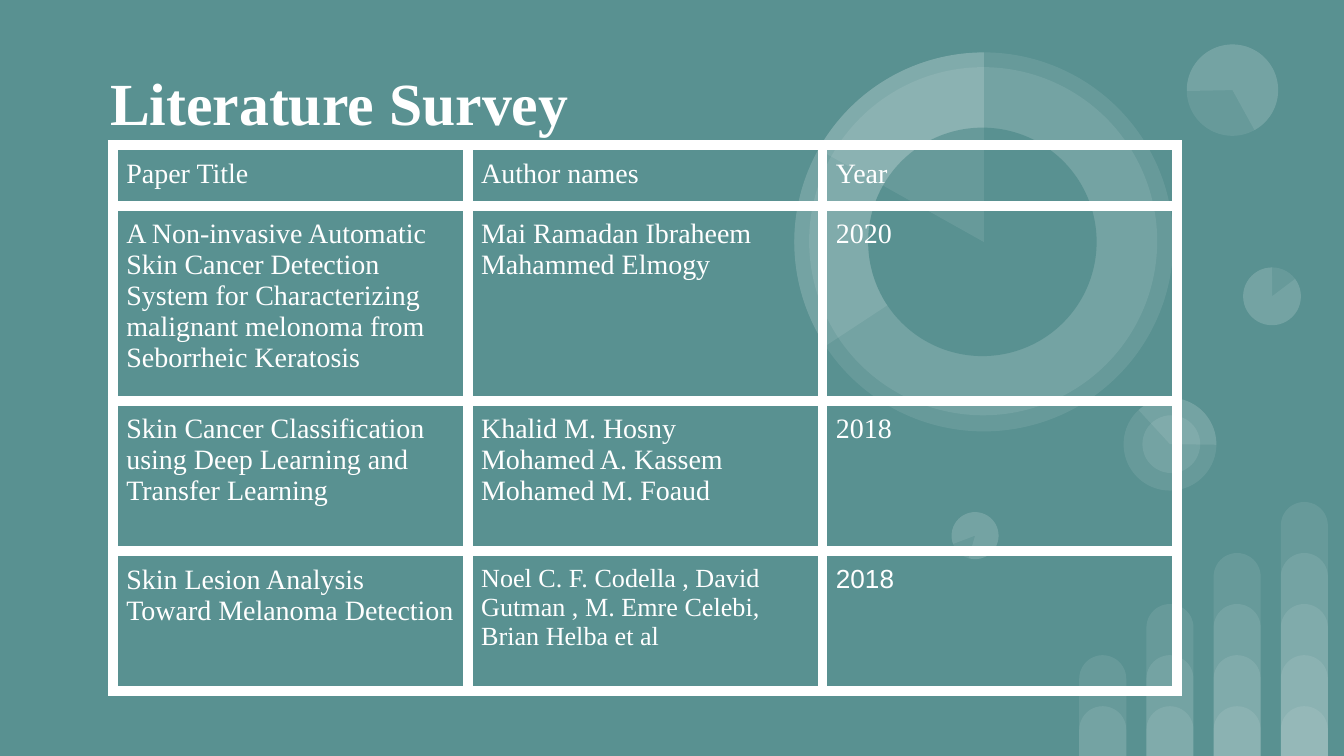
from lxml import etree
from pptx import Presentation
from pptx.dml.color import RGBColor
from pptx.enum.shapes import MSO_SHAPE
from pptx.enum.text import MSO_ANCHOR
from pptx.oxml.ns import qn
from pptx.util import Inches, Pt

ELLIPSE, PIE = MSO_SHAPE.OVAL, MSO_SHAPE.PIE
BAR = MSO_SHAPE.ROUND_2_SAME_RECTANGLE
MIDDLE = MSO_ANCHOR.MIDDLE

COLORS = {"teal": "599191", "white": "FFFFFF"}
SERIF, SANS = "Times New Roman", "Arial"
SLIDE_W = 10
SLIDE_H = SLIDE_W * 9 / 16
VEIL_ALPHA = 9  # percent opacity of the decoration

TITLE = "Literature Survey"

# Each cell is a list of paragraphs
PAPERS = [
    (["Paper Title"], ["Author names"], ["Year"]),
    (["A Non-invasive Automatic Skin Cancer Detection System for "
      "Characterizing malignant melonoma from Seborrheic Keratosis"],
     ["Mai Ramadan Ibraheem", "Mahammed Elmogy"], ["2020"]),
    (["Skin Cancer Classification using Deep Learning and Transfer Learning"],
     ["Khalid M. Hosny", "Mohamed A. Kassem", "Mohamed M. Foaud"], ["2018"]),
    (["Skin Lesion Analysis Toward Melanoma Detection"],
     ["Noel C. F. Codella , David Gutman , M. Emre Celebi, Brian Helba et al"],
     ["2018"]),
]
CELL_FONTS = {(3, 1): (SERIF, 14), (3, 2): (SANS, 14)}
TABLE_LEFT, TABLE_TOP = 0.84, 1.08
COLUMN_W = 2.64
ROW_HEIGHTS = [0.39, 1.25, 1.12, 1.04]
BORDER_PT = 6

# Discs: left, top, diameter, rotation, start angles of the pies laid on top
SMALL_DISCS = [
    (9.25, 1.99, 0.43, 0, [(193.77, 162)]),
    (7.08, 3.81, 0.35, 196.2, [(193.77, 162)]),
    (8.36, 2.96, 0.69, 90, [(82.45, 162.46)]),
    (8.5, 3.09, 0.43, 90, []),
    (8.83, 0.33, 0.68, 215.9, [(193.77, 123.14)]),
]
RING = (5.91, 0.39, 2.82)
RING_BAND = (6.02, 0.5, 2.59)
RING_HOLE = (6.46, 0.95, 1.7)
RING_PIES = [(88.01, 162), (125.54, 162)]

# Bars: each column stacks veils of growing height on the slide's bottom edge
BAR_COLUMNS, BAR_LEFT, BAR_PITCH, BAR_W = 4, 8.03, 0.5, 0.35
BAR_BASE, BAR_STEP = 0.37, 0.38


def rgb(name):
    return RGBColor.from_string(COLORS[name])


def add_decoration(preset, left, top, width, height, rotation=0,
                   adjustments=(), color="white", alpha=VEIL_ALPHA):
    shape = slide.shapes.add_shape(preset, Inches(left), Inches(top),
                                   Inches(width), Inches(height))
    shape.shadow.inherit = False
    shape.rotation = rotation
    for i, value in enumerate(adjustments):
        shape.adjustments[i] = value
    shape.line.fill.background()
    shape.fill.solid()
    shape.fill.fore_color.rgb = rgb(color)
    if alpha < 100:
        tint = shape.fill._xPr.find(".//" + qn("a:srgbClr"))
        etree.SubElement(tint, qn("a:alpha"), val=str(alpha * 1000))


def add_disc(left, top, size, rotation=0, **look):
    add_decoration(ELLIPSE, left, top, size, size, rotation, **look)


def add_pies(left, top, size, rotation, pies):
    for angles in pies:
        add_decoration(PIE, left, top, size, size, rotation, angles)


def write(paragraph, text, font, size, bold=False):
    run = paragraph.add_run()
    run.text = text
    run.font.name = font
    run.font.size = Pt(size)
    run.font.bold = bold
    run.font.color.rgb = rgb("white")


def set_margins(box):
    box.margin_left = box.margin_right = Inches(0.1)
    box.margin_top = box.margin_bottom = Inches(0.1)


def add_borders(cell):
    properties = cell._tc.get_or_add_tcPr()
    for i, side in enumerate(("lnL", "lnR", "lnT", "lnB")):
        line = etree.Element(qn("a:" + side), w=str(Pt(BORDER_PT)))
        fill = etree.SubElement(line, qn("a:solidFill"))
        etree.SubElement(fill, qn("a:srgbClr"), val=COLORS["white"])
        properties.insert(i, line)


prs = Presentation()
prs.slide_width, prs.slide_height = Inches(SLIDE_W), Inches(SLIDE_H)
slide = prs.slides.add_slide(prs.slide_layouts[6])
slide.background.fill.solid()
slide.background.fill.fore_color.rgb = rgb("teal")

# Bars in the corner
for column in range(BAR_COLUMNS):
    for level in range(column + 2):
        height = BAR_BASE + BAR_STEP * level
        add_decoration(BAR, BAR_LEFT + BAR_PITCH * column, SLIDE_H - height,
                       BAR_W, height, adjustments=(0.5, 0))

# Small discs with their pies
for left, top, size, rotation, pies in SMALL_DISCS:
    add_disc(left, top, size, rotation)
    add_pies(left, top, size, rotation, pies)

# Large ring: the hole covers the first pie, the second lies over it
add_disc(*RING)
add_disc(*RING_BAND)
add_pies(*RING, 0, RING_PIES[:1])
add_disc(*RING_HOLE, color="teal", alpha=100)
add_pies(*RING, 0, RING_PIES[1:])

# Title
title = slide.shapes.add_textbox(Inches(0.72), Inches(0.31),
                                 Inches(4.65), Inches(0.9)).text_frame
title.word_wrap = True
title.vertical_anchor = MIDDLE
set_margins(title)
write(title.paragraphs[0], TITLE, SERIF, 32, bold=True)

# Table of papers
survey = slide.shapes.add_table(
    len(PAPERS), len(PAPERS[0]), Inches(TABLE_LEFT), Inches(TABLE_TOP),
    Inches(COLUMN_W * len(PAPERS[0])), Inches(sum(ROW_HEIGHTS))).table
survey.first_row = survey.horz_banding = False
for column in survey.columns:
    column.width = Inches(COLUMN_W)
for r, paper in enumerate(PAPERS):
    survey.rows[r].height = Inches(ROW_HEIGHTS[r])
    for c, lines in enumerate(paper):
        cell = survey.cell(r, c)
        cell.fill.background()
        set_margins(cell)
        add_borders(cell)
        font, size = CELL_FONTS.get((r, c), (SERIF, 15))
        for i, line in enumerate(lines):
            frame = cell.text_frame
            paragraph = frame.add_paragraph() if i else frame.paragraphs[0]
            write(paragraph, line, font, size)

prs.save("out.pptx")
